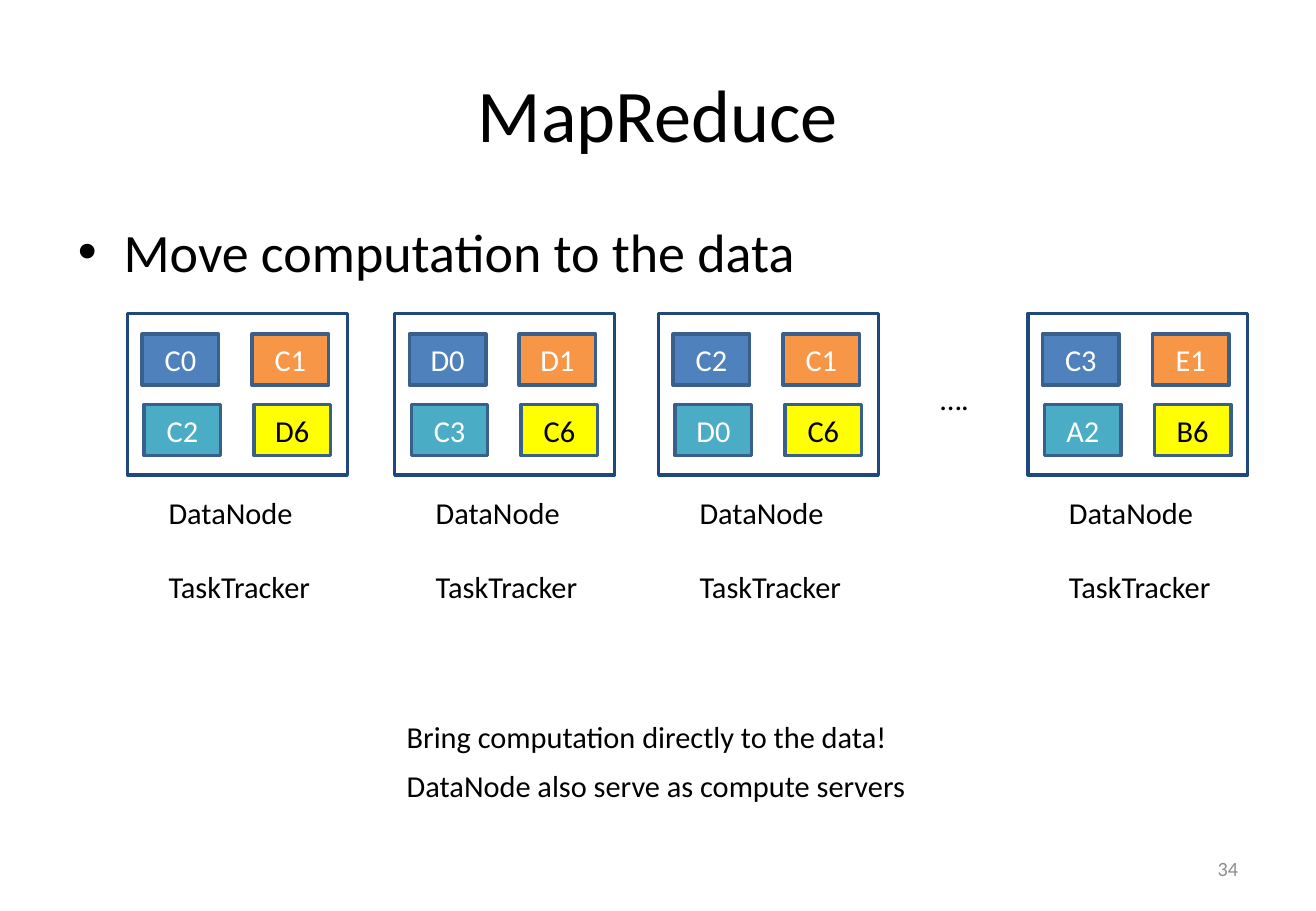
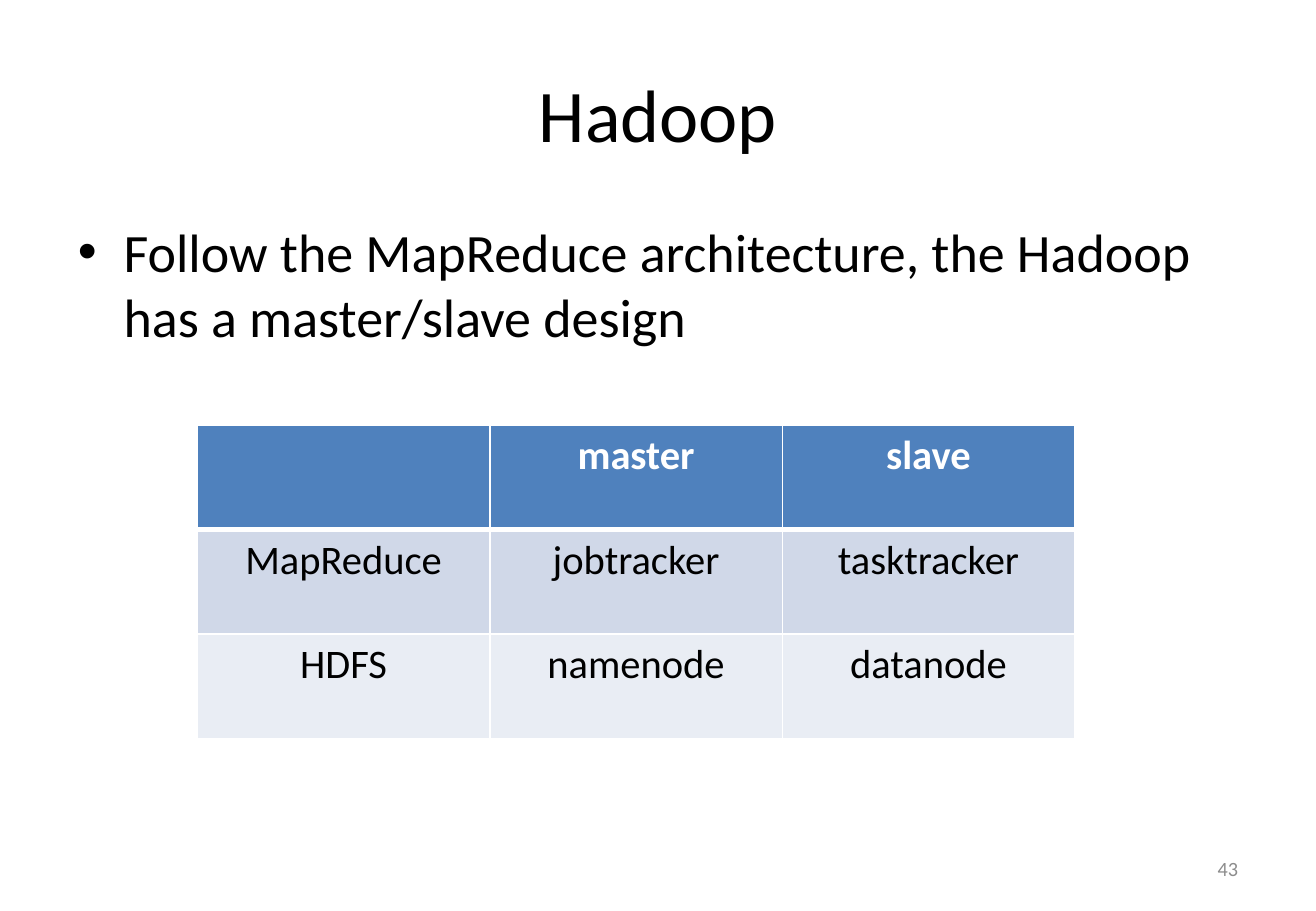
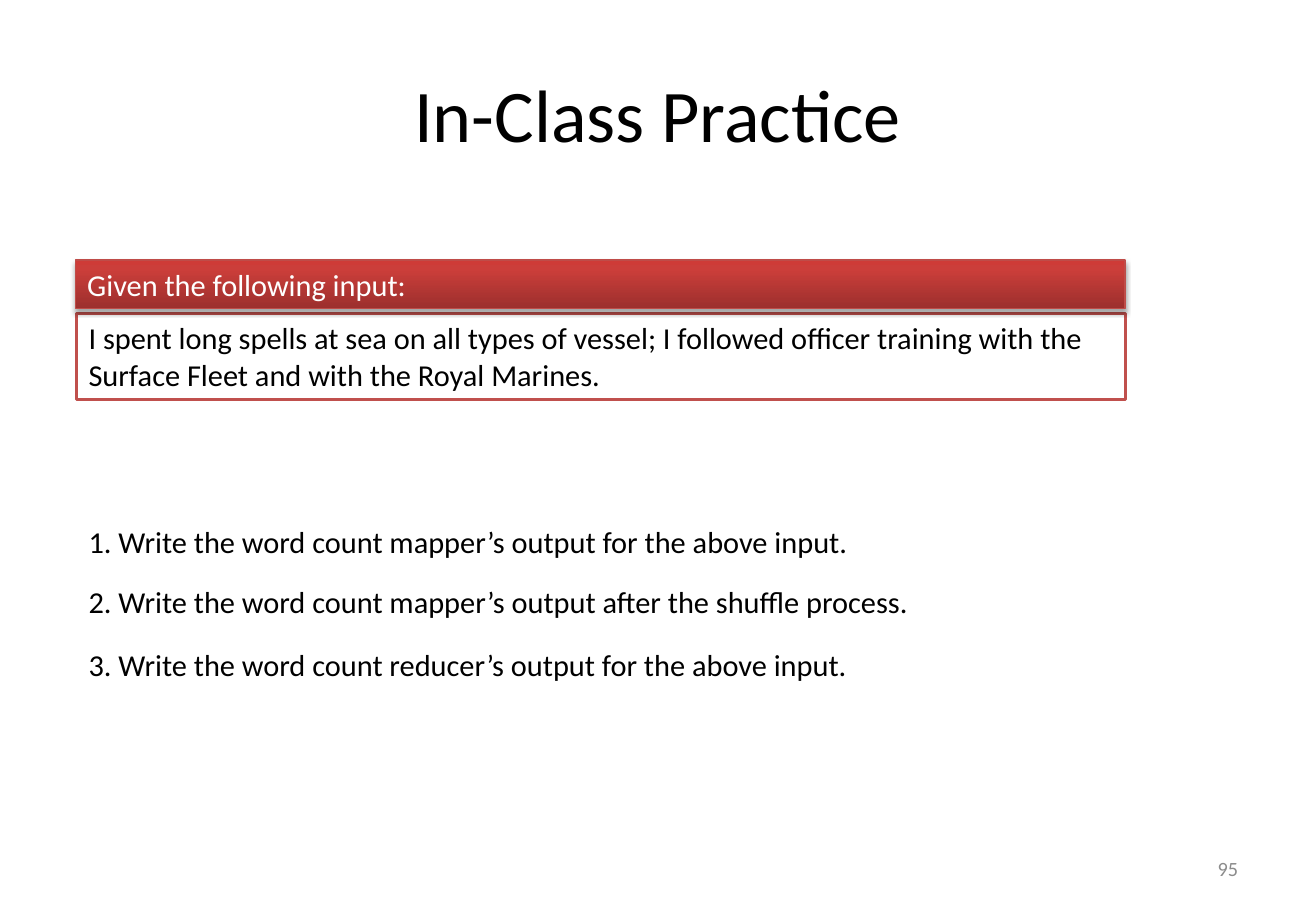
from lxml.etree import SubElement
from pptx import Presentation
from pptx.dml.color import RGBColor
from pptx.enum.shapes import MSO_SHAPE as Preset
from pptx.enum.text import MSO_ANCHOR as Anchor, MSO_AUTO_SIZE as AutoSize, PP_ALIGN as Align
from pptx.oxml.ns import qn
from pptx.util import Inches, Pt

WIDTH, HEIGHT = Inches(10.83), Inches(7.5)
COLUMN, ROW = WIDTH / 100, HEIGHT / 100
MARGIN, CONTENT_WIDTH, LINE_HEIGHT = 5, 90, 5.33
FONT = "Calibri"
TITLE_AND_CONTENT, TITLE_ONLY = 1, 5

BLACK = RGBColor(0x00, 0x00, 0x00)
WHITE = RGBColor(0xFF, 0xFF, 0xFF)
GREY = RGBColor(0x8C, 0x8C, 0x8C)
NAVY = RGBColor(0x1F, 0x49, 0x7D)
BLUE = RGBColor(0x4F, 0x81, 0xBD)
BLUE_EDGE = RGBColor(0x3A, 0x5F, 0x8C)
ORANGE = RGBColor(0xF7, 0x96, 0x46)
TEAL = RGBColor(0x4B, 0xAC, 0xC6)
YELLOW = RGBColor(0xFF, 0xFF, 0x00)
BAND_DARK = RGBColor(0xD0, 0xD8, 0xE8)
BAND_LIGHT = RGBColor(0xE9, 0xED, 0xF4)
RED = RGBColor(0xC0, 0x50, 0x4D)
RED_EDGE = RGBColor(0xBF, 0x4C, 0x48)
RED_DARK = RGBColor(0x9C, 0x2F, 0x2D)
RED_BRIGHT = RGBColor(0xCB, 0x3E, 0x3A)
RED_TOP = RGBColor(0xCE, 0x3B, 0x37)

BLOCK_COLORS = [(BLUE, WHITE), (ORANGE, WHITE), (TEAL, WHITE), (YELLOW, BLACK)]
DATA_NODES = [
    (9.7, ["C0", "C1", "C2", "D6"]),
    (30, ["D0", "D1", "C3", "C6"]),
    (50.05, ["C2", "C1", "D0", "C6"]),
    (78.12, ["C3", "E1", "A2", "B6"]),
]
TRACKER_TABLE = [
    (["", "master", "slave"], BLUE),
    (["MapReduce", "jobtracker", "tasktracker"], BAND_DARK),
    (["HDFS", "namenode", "datanode"], BAND_LIGHT),
]
QUESTIONS = [
    (56.8, "1. Write the word count mapper’s output for the above input."),
    (63.33, "2. Write the word count mapper’s output after the shuffle process."),
    (70.27, "3. Write the word count reducer’s output for the above input."),
]


def box(left, top, width, height):
    return [round(left * COLUMN), round(top * ROW), round(width * COLUMN), round(height * ROW)]


def write(frame, text, size=18, color=BLACK, bold=False, align=Align.LEFT, anchor=Anchor.TOP):
    frame.vertical_anchor = anchor
    paragraph = frame.paragraphs[0]
    paragraph.alignment = align
    if text:
        run = paragraph.add_run()
        run.text = text
        run.font.name = FONT
        run.font.size = Pt(size)
        run.font.bold = bold
        run.font.color.rgb = color


def place(shape, bounds):
    shape.left, shape.top, shape.width, shape.height = bounds


def add_label(slide, text, left, top, width, wrap=False, **text_format):
    shape = slide.shapes.add_textbox(*box(left, top, width, LINE_HEIGHT))
    shape.text_frame.word_wrap = wrap
    shape.text_frame.auto_size = AutoSize.NONE if wrap else AutoSize.SHAPE_TO_FIT_TEXT
    write(shape.text_frame, text, **text_format)


def add_rectangle(slide, bounds, fill, edge, weight=2, text="", **text_format):
    shape = slide.shapes.add_shape(Preset.RECTANGLE, *bounds)
    shape.shadow.inherit = False
    shape.fill.solid()
    shape.fill.fore_color.rgb = fill
    shape.line.color.rgb = edge
    shape.line.width = Pt(weight)
    shape.text_frame.word_wrap = True
    write(shape.text_frame, text, **text_format)
    return shape


def add_color(parent, color):
    return SubElement(parent, qn("a:srgbClr"), val=str(color))


def shade(shape, stops):
    shape.fill.gradient()
    shape.fill.gradient_angle = 90
    stop_list = shape._element.spPr.find(qn("a:gradFill")).find(qn("a:gsLst"))
    for stop in list(stop_list):
        stop_list.remove(stop)
    for percent, color in stops:
        add_color(SubElement(stop_list, qn("a:gs"), pos=str(percent * 1000)), color)


def cast_shadow(shape):
    effects = shape._element.spPr.find(qn("a:effectLst"))
    shadow = SubElement(effects, qn("a:outerShdw"), blurRad=str(Pt(3.1)), dist=str(Pt(1.8)),
                        dir="5400000", rotWithShape="0")
    SubElement(add_color(shadow, BLACK), qn("a:alpha"), val="35000")


def set_borders(cell, top, bottom):
    properties = cell._tc.get_or_add_tcPr()
    for index, (side, weight) in enumerate([("L", 1), ("R", 1), ("T", top), ("B", bottom)]):
        line = SubElement(properties, qn(f"a:ln{side}"), w=str(Pt(weight)))
        add_color(SubElement(line, qn("a:solidFill")), WHITE)
        properties.insert(index, line)


def add_table(slide, rows, bounds):
    table = slide.shapes.add_table(len(rows), len(rows[0][0]), *bounds).table
    for row, (texts, fill) in enumerate(rows):
        header = row == 0
        for column, text in enumerate(texts):
            cell = table.cell(row, column)
            cell.fill.solid()
            cell.fill.fore_color.rgb = fill
            write(cell.text_frame, text, size=24, bold=header, align=Align.CENTER,
                  color=WHITE if header else BLACK)
            set_borders(cell, top=3 if row == 1 else 1, bottom=3 if header else 1)


def add_slide(presentation, title, number, bullet=None):
    layout = TITLE_AND_CONTENT if bullet else TITLE_ONLY
    slide = presentation.slides.add_slide(presentation.slide_layouts[layout])
    place(slide.shapes.title, box(MARGIN, 4, CONTENT_WIDTH, 16.67))
    write(slide.shapes.title.text_frame, title, size=44, align=Align.CENTER, anchor=Anchor.MIDDLE)
    if bullet:
        body = slide.placeholders[1]
        place(body, box(MARGIN, 23.33, CONTENT_WIDTH, 66))
        write(body.text_frame, bullet, size=32)
    add_label(slide, str(number), 71.65, 92.67, 23.35, wrap=True, size=12, color=GREY,
              align=Align.RIGHT, anchor=Anchor.MIDDLE)
    return slide


def add_data_node(slide, left, blocks):
    top = 34.4
    add_rectangle(slide, box(left, top, 16.7, 17.73), WHITE, NAVY)
    for index, (text, (fill, color)) in enumerate(zip(blocks, BLOCK_COLORS)):
        row, column = divmod(index, 2)
        bounds = box(left + 1.1 + 8.35 * column + 0.15 * row, top + 2.27 + 7.73 * row, 5.82, 5.6)
        add_rectangle(slide, bounds, fill, BLUE_EDGE, text=text, color=color,
                      align=Align.CENTER, anchor=Anchor.MIDDLE)
    add_label(slide, "DataNode", left + 2.2, 53.6, 11.36)
    add_label(slide, "TaskTracker", left + 2.2, 61.73, 12.74)


def add_mapreduce_slide(presentation):
    slide = add_slide(presentation, "MapReduce", 34, "Move computation to the data")
    for left, blocks in DATA_NODES:
        add_data_node(slide, left, blocks)
    add_label(slide, "….", 70.54, 41.07, 4.06)
    add_label(slide, "Bring computation directly to the data!", 30, 78.13, 38.78)
    add_label(slide, "DataNode also serve as compute servers", 30, 83.6, 39.89)


def add_hadoop_slide(presentation):
    slide = add_slide(presentation, "Hadoop", 43,
                      "Follow the MapReduce architecture, the Hadoop has a master/slave design")
    add_table(slide, TRACKER_TABLE, box(15, 46.67, 66.67, 34.4))


def add_practice_slide(presentation):
    slide = add_slide(presentation, "In-Class Practice", 95)
    add_rectangle(slide, box(5.82, 34.4, 79.69, 9.47), WHITE, RED,
                  text="I spent long spells at sea on all types of vessel; I followed officer "
                       "training with the Surface Fleet and with the Royal Marines.")
    banner = add_rectangle(slide, box(5.72, 28.53, 79.78, LINE_HEIGHT), RED, RED_EDGE, weight=0.75,
                           text="Given the following input:", color=WHITE)
    shade(banner, [(0, RED_DARK), (80, RED_BRIGHT), (100, RED_TOP)])
    cast_shadow(banner)
    for top, question in QUESTIONS:
        add_label(slide, question, 5.82, top, 65)


def main():
    presentation = Presentation()
    presentation.slide_width, presentation.slide_height = WIDTH, HEIGHT
    add_mapreduce_slide(presentation)
    add_hadoop_slide(presentation)
    add_practice_slide(presentation)
    presentation.save("out.pptx")


if __name__ == "__main__":
    main()
